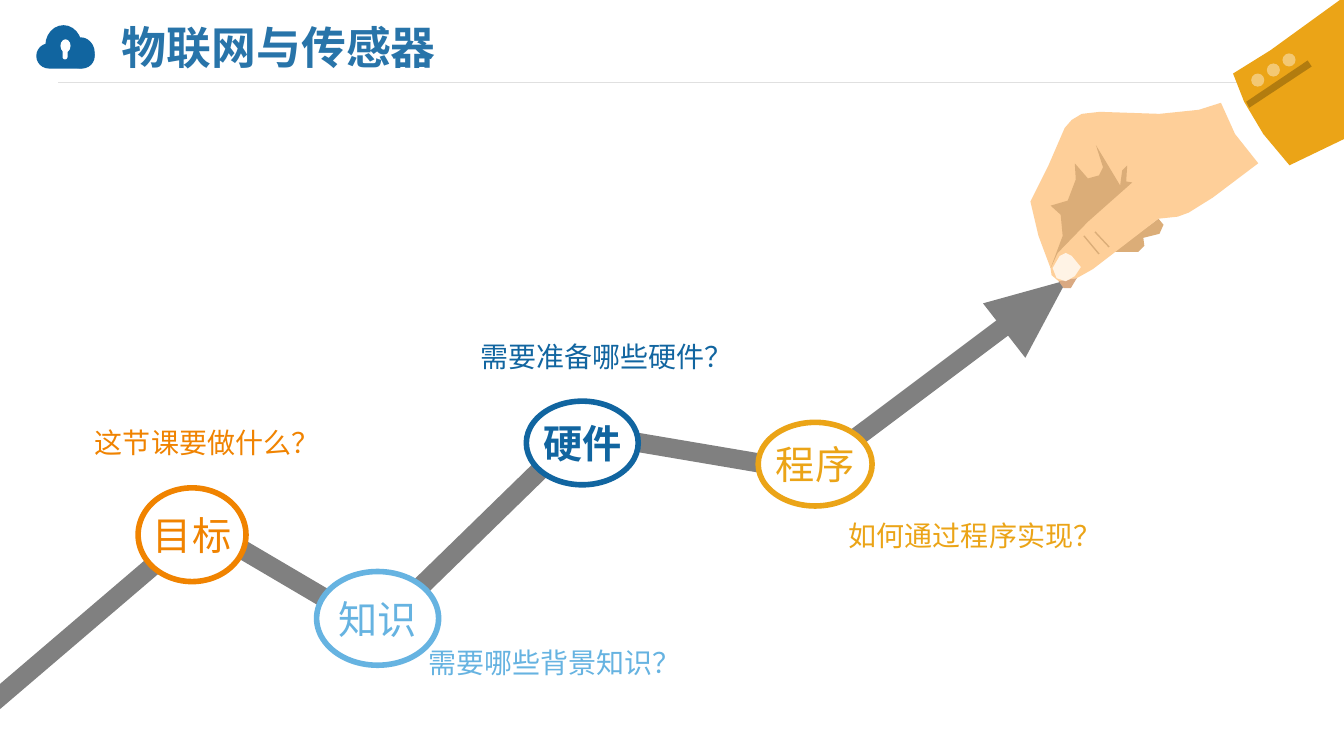
"""Build the lesson roadmap slide: four steps on a rising arrow pulled by a hand."""
from itertools import pairwise
from math import hypot
from lxml.etree import SubElement
from pptx import Presentation
from pptx.dml.color import RGBColor
from pptx.enum.shapes import MSO_CONNECTOR, MSO_SHAPE
from pptx.enum.text import MSO_ANCHOR, PP_ALIGN
from pptx.oxml.ns import qn
from pptx.util import Cm, Pt

FONT = "Noto Sans CJK SC"
TITLE = "物联网与传感器"
WHITE, GRAY, BLUE, GOLD = "FFFFFF", "808080", "1165A0", "EBA417"
SKIN, SHADE = "FECF99", "DBAD78"
LEFT, MID = PP_ALIGN.LEFT, PP_ALIGN.CENTER
OVAL, PILL = MSO_SHAPE.OVAL, MSO_SHAPE.ROUNDED_RECTANGLE

# name, colour, bold, oval box, question, question corner, question alignment
STEPS = [
    ("程序", GOLD, False, (7.52, 4.19, 1.13, 0.83), "如何通过程序实现？", (8.32, 5.09), LEFT),
    ("硬件", BLUE, True, (5.22, 3.98, 1.11, 0.83), "需要准备哪些硬件？", (4.51, 3.32), MID),
    ("知识", "66B3E1", False, (3.14, 5.67, 1.21, 0.93), "需要哪些背景知识？", (4.15, 6.35), LEFT),
    ("目标", "F08300", False, (1.37, 4.84, 1.07, 0.93), "这节课要做什么？", (0.55, 4.17), MID),
]
CLOUD = [
    (PILL, BLUE, (0.36, 0.43, 0.58, 0.25)),
    (OVAL, BLUE, (0.45, 0.25, 0.36, 0.4)),
    (OVAL, BLUE, (0.66, 0.37, 0.28, 0.31)),
    (OVAL, WHITE, (0.6, 0.39, 0.1, 0.13)),
    (PILL, WHITE, (0.62, 0.46, 0.05, 0.13)),
]
ROAD = [(0, 6.91), (1.99, 5.21), (3.74, 6.24), (5.74, 4.29), (8.04, 4.68), (10.2, 3.06)]
THICK = 0.19
TIP = [(10.58, 2.78), (9.75, 3.01), (10.17, 3.55)]
HAND = [
    (SHADE, [(11.49, 2.17), (11.54, 2.23), (11.5, 2.32), (11.34, 2.36), (11.35, 2.44), (11.29, 2.5),
             (11.04, 2.5)]),
    (SKIN, [(10.22, 2), (10.4, 1.64), (10.56, 1.27), (10.63, 1.19), (10.73, 1.13), (10.91, 1.11),
            (11.5, 1.13), (11.89, 1.09), (12.11, 1.02), (12.25, 1.33), (12.48, 1.62), (12.03, 1.96),
            (11.79, 2.11), (11.68, 2.15), (11.49, 2.17), (10.84, 2.67), (10.68, 2.76), (10.5, 2.79),
            (10.43, 2.73), (10.42, 2.66), (10.3, 2.34)]),
    (SHADE, [(11.23, 1.81), (11.17, 1.8), (11.18, 1.64), (11.13, 1.69), (11.11, 1.84), (10.87, 1.44),
             (10.94, 1.66), (10.9, 1.74), (10.79, 1.77), (10.66, 1.62), (10.67, 1.78), (10.59, 1.99),
             (10.42, 2.04), (10.52, 2.13), (10.54, 2.34), (10.42, 2.66), (10.49, 2.51), (10.79, 2.2)]),
    (GOLD, [(12.23, 0.73), (12.34, 1.01), (12.53, 1.33), (12.79, 1.64), (13.33, 1.38), (13.33, 0),
            (13.29, 0), (12.6, 0.5)]),
    ("B27C0F", [(12.39, 1.07), (13.01, 0.66), (12.97, 0.6), (12.36, 1.01)]),
    ("D9A982", [(10.5, 2.79), (10.55, 2.86), (10.62, 2.86), (10.68, 2.76)]),
    ("FFF3E5", [(10.72, 2.65), (10.63, 2.54), (10.57, 2.51), (10.51, 2.54), (10.44, 2.66), (10.48, 2.76),
                (10.57, 2.79), (10.66, 2.74)]),
]
FOLDS = [(10.75, 2.34, 10.9, 2.52), (10.86, 2.3, 11, 2.45)]


def span(*sizes):
    return [Cm(size * 2.54) for size in sizes]


def tint(code):
    return RGBColor.from_string(code)


def paint(shape, fill, edge=None):
    shape.shadow.inherit = False
    shape.fill.solid()
    shape.fill.fore_color.rgb = tint(fill)
    if edge:
        shape.line.color.rgb = tint(edge)
        shape.line.width = Pt(4)
    else:
        shape.line.fill.background()


def write(shape, text, size, color, bold=False, align=LEFT, wrap=True, inset=(0, 0), anchor=MSO_ANCHOR.MIDDLE):
    frame = shape.text_frame
    frame.word_wrap = wrap
    frame.vertical_anchor = anchor
    frame.margin_left, frame.margin_top = frame.margin_right, frame.margin_bottom = span(*inset)
    line = frame.paragraphs[0]
    line.alignment = align
    run = line.add_run()
    run.text = text
    font = run.font
    font.size, font.bold, font.name = Pt(size), bold, FONT
    font.color.rgb = tint(color)
    SubElement(run._r.get_or_add_rPr(), qn("a:ea")).set("typeface", FONT)


def place(shapes, kind, fill, box, edge=None):
    shape = shapes.add_shape(kind, *span(*box))
    if kind == PILL:
        shape.adjustments[0] = 0.5
    paint(shape, fill, edge)
    return shape


def draw(shapes, fill, dots):
    dots = [span(*dot) for dot in dots]
    form = shapes.build_freeform(*dots[0], scale=1.0)
    form.add_line_segments(dots[1:], close=True)
    paint(form.convert_to_shape(), fill)


def rule(shapes, color, width, ends):
    line = shapes.add_connector(MSO_CONNECTOR.STRAIGHT, *span(*ends))
    line.line.color.rgb = tint(color)
    line.line.width = Pt(width)
    SubElement(line._element.spPr, qn("a:effectLst"))


def main():
    deck = Presentation()
    deck.slide_width, deck.slide_height = span(13.33, 7.5)
    shapes = deck.slides.add_slide(deck.slide_layouts[5]).shapes
    title = shapes.title
    title.left, title.top, title.width, title.height = span(1.21, 0.2, 8.89, 0.52)
    write(title, TITLE, 32, "2874A9", bold=True)
    rule(shapes, "E0E0E0", 0.75, (0.58, 0.82, 12.71, 0.82))
    for part in CLOUD:
        place(shapes, *part)

    for (x, y), (right, end) in pairwise(ROAD):
        half = THICK / 2 * hypot(right - x, end - y) / (right - x)
        draw(shapes, GRAY, [(x, y - half), (right, end - half), (right, end + half), (x, y + half)])
    for name, color, bold, box, ask, spot, align in STEPS:
        oval = place(shapes, OVAL, WHITE, box, color)
        write(oval, name, 28, color, bold=bold, align=MID, wrap=False, inset=(0.1, 0.05))
        note = shapes.add_textbox(*span(*spot, 3.01, 0.45))
        write(note, ask, 20, color, align=align, inset=(0.1, 0.05), anchor=MSO_ANCHOR.TOP)

    draw(shapes, GRAY, TIP)
    for fill, dots in HAND:
        draw(shapes, fill, dots)
    for ends in FOLDS:
        rule(shapes, SHADE, 1, ends)
    for step in range(3):
        place(shapes, OVAL, "F3C874", (12.41 + 0.155 * step, 0.73 - 0.1 * step, 0.13, 0.13))
    deck.save("out.pptx")


if __name__ == "__main__":
    main()
